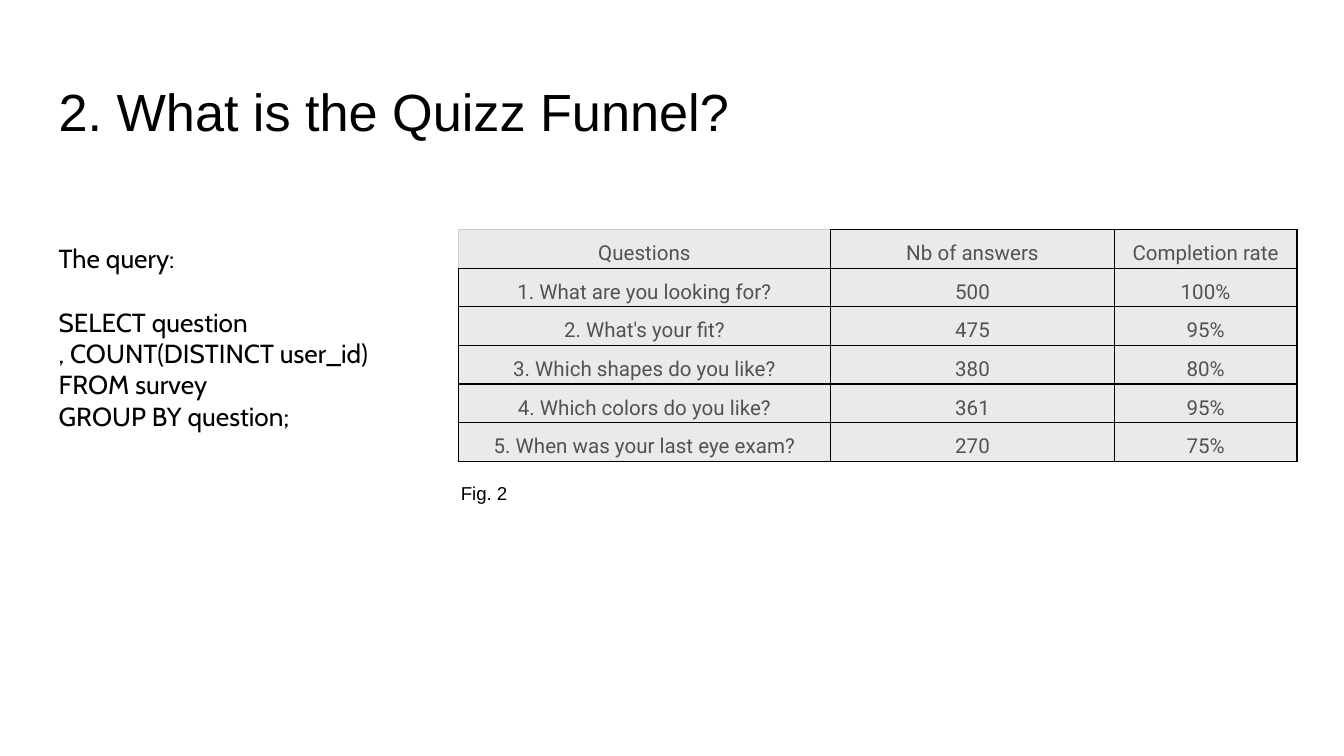
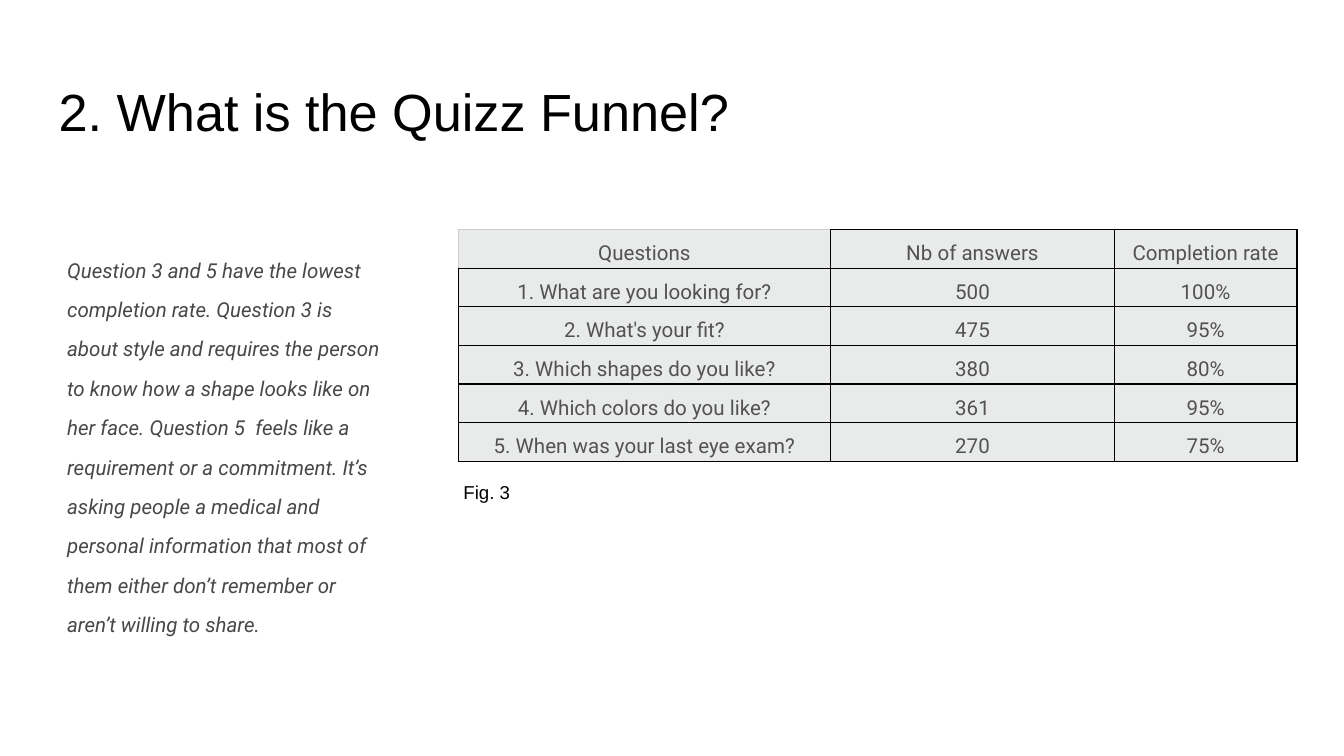
from dataclasses import dataclass

from lxml import etree
from pptx import Presentation
from pptx import util as u
from pptx.dml.color import RGBColor
from pptx.enum import text
from pptx.oxml.ns import qn
from pptx.slide import Slide
from pptx.table import _Cell

BLACK, SILVER, PALE = "000000", "CCCCCC", "E9EAEA"
PAD = u.Cm(0.25)
TOP = 4.34
COLS = (7.04, 5.36, 3.45)
ROW = 0.73
FUNNEL = (
    ("Questions", "Nb of answers", "Completion rate"),
    ("1. What are you looking for?", "500", "100%"),
    ("2. What's your fit?", "475", "95%"),
    ("3. Which shapes do you like?", "380", "80%"),
    ("4. Which colors do you like?", "361", "95%"),
    ("5. When was your last eye exam?", "270", "75%"),
)
QUERY = (
    "The query:",
    "SELECT question",
    ", COUNT(DISTINCT user_id)\nFROM survey\nGROUP BY question;",
)
NOTE = (
    "Question 3 and 5 have the lowest completion rate. Question 3 is about style "
    "and requires the person to know how a shape looks like on her face. "
    "Question 5  feels like a requirement or a commitment. It’s asking people a "
    "medical and  personal information that most of them either don’t remember "
    "or aren’t willing to share."
)


@dataclass(frozen=True)
class Style:
    name: str
    size: float
    color: str = BLACK
    italic: bool = False
    lead: float = 1.0
    align: text.PP_ALIGN = text.PP_ALIGN.LEFT


@dataclass(frozen=True)
class Box:
    """A text block; left, top, width and height are in centimetres."""
    left: float
    top: float
    width: float
    height: float
    style: Style
    lines: tuple[str, ...]
    gap: float = 0  # points between the first line and the rest


HEAD = Style("Arial", 28)
CODE = Style("Cabin", 14)
LABEL = Style("Arial", 10)
CELL = Style("Roboto", 11, "525252", lead=1.15, align=text.PP_ALIGN.CENTER)
PROSE = Style("Roboto", 11, "484848", italic=True, lead=1.6)

TITLE = Box(0.86, 1.24, 23.67, 1.6, HEAD, ("2. What is the Quizz Funnel?",))
PAGES = (
    (
        Box(0.86, TOP, 8.31, 4.83, CODE, QUERY, gap=17),
        Box(8.46, 8.89, 2.13, 0.76, LABEL, ("Fig. 2",)),
    ),
    (
        Box(1.02, TOP, 6.58, 8.56, PROSE, (NOTE,)),
        Box(8.51, 8.87, 2.13, 0.76, LABEL, ("Fig. 3",)),
    ),
)


def rgb(code: str) -> RGBColor:
    return RGBColor.from_string(code)


def assign(item: object, values: dict) -> None:
    for key, value in values.items():
        setattr(item, key, value)


def write(frame, lines: tuple[str, ...], style: Style) -> None:
    for i, line in enumerate(lines):
        para = frame.add_paragraph() if i else frame.paragraphs[0]
        para.text = line
        assign(para, {"alignment": style.align, "line_spacing": style.lead})
        for run in para.runs:
            assign(run.font, {"name": style.name, "size": u.Pt(style.size),
                              "italic": style.italic})
            run.font.color.rgb = rgb(style.color)


def add_box(slide: Slide, box: Box) -> None:
    area = map(u.Cm, (box.left, box.top, box.width, box.height))
    frame = slide.shapes.add_textbox(*area).text_frame
    assign(frame, {"word_wrap": True, "margin_left": PAD, "margin_top": PAD,
                   "margin_right": PAD, "margin_bottom": PAD})
    write(frame, box.lines, box.style)
    if box.gap:
        frame.paragraphs[1].space_before = u.Pt(box.gap)


def edge(cell: _Cell, side: str, color: str) -> None:
    line = etree.SubElement(cell._tc.get_or_add_tcPr(), qn(f"a:ln{side}"),
                            w=str(u.Pt(0.75)))
    fill = etree.SubElement(line, qn("a:solidFill"))
    etree.SubElement(fill, qn("a:srgbClr"), val=color)


def add_funnel(slide: Slide) -> None:
    area = map(u.Cm, (8.66, TOP, sum(COLS), ROW * len(FUNNEL)))
    table = slide.shapes.add_table(len(FUNNEL), len(COLS), *area).table
    assign(table, {"first_row": False, "horz_banding": False})
    for col, width in zip(table.columns, COLS):
        col.width = u.Cm(width)
    for r, row in enumerate(FUNNEL):
        table.rows[r].height = u.Cm(ROW)
        for c, word in enumerate(row):
            cell = table.cell(r, c)
            assign(cell, {"margin_left": u.Cm(0.08), "margin_right": u.Cm(0.08),
                          "margin_top": u.Cm(0.05), "margin_bottom": u.Cm(0.05),
                          "vertical_anchor": text.MSO_ANCHOR.BOTTOM})
            write(cell.text_frame, (word,), CELL)
            for side in "LRTB":
                soft = r == c == 0 and side in "LT"
                edge(cell, side, SILVER if soft else BLACK)
            cell.fill.solid()
            cell.fill.fore_color.rgb = rgb(PALE)


def main() -> None:
    deck = Presentation()
    assign(deck, {"slide_width": u.Cm(25.4), "slide_height": u.Cm(14.29)})
    for boxes in PAGES:
        slide = deck.slides.add_slide(deck.slide_layouts[6])
        add_funnel(slide)
        for box in (TITLE, *boxes):
            add_box(slide, box)
    deck.save("out.pptx")


if __name__ == "__main__":
    main()
